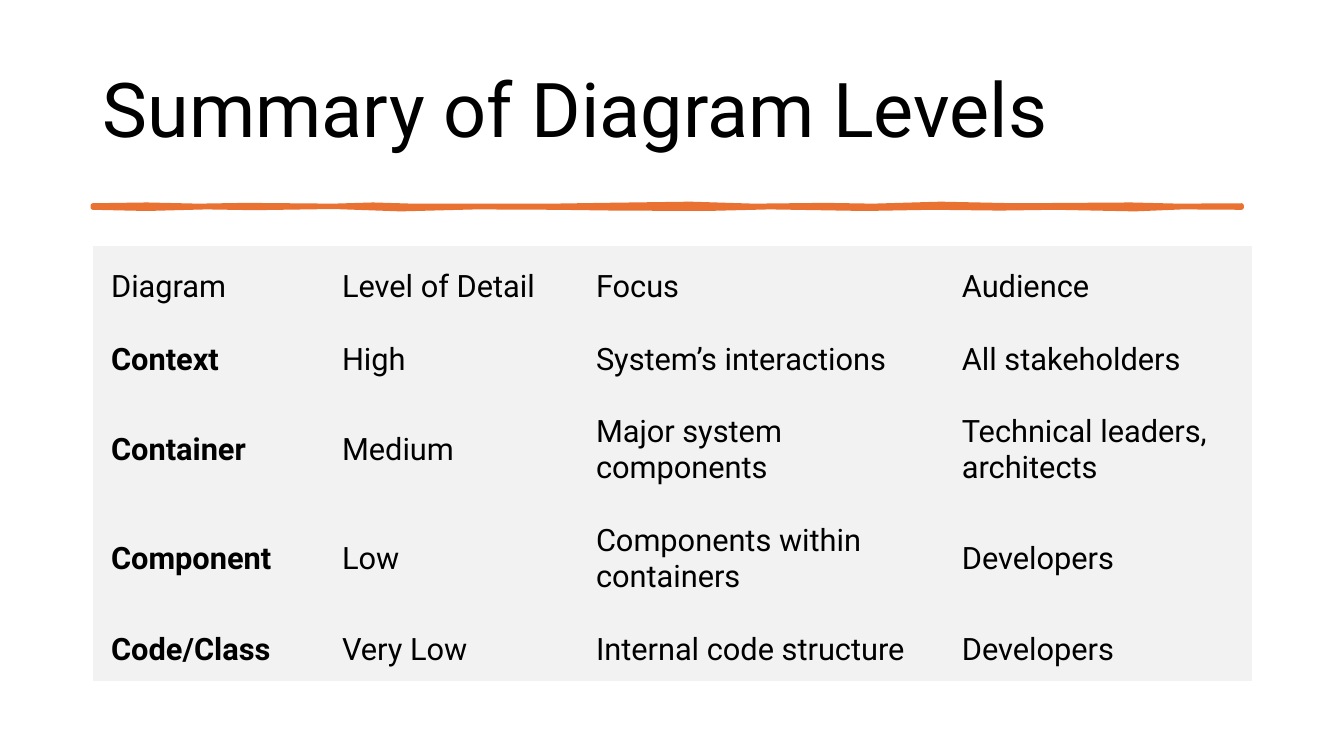
from pptx import Presentation
from pptx.dml.color import RGBColor
from pptx.enum.text import MSO_ANCHOR, MSO_AUTO_SIZE, PP_ALIGN
from pptx.oxml.ns import qn
from pptx.util import Cm, Pt

TITLE = "Summary of Diagram Levels"
LEVELS = [
    ("Diagram", "Level of Detail", "Focus", "Audience"),
    ("Context", "High", "System’s interactions", "All stakeholders"),
    ("Container", "Medium", "Major system components", "Technical leaders, architects"),
    ("Component", "Low", "Components within containers", "Developers"),
    ("Code/Class", "Very Low", "Internal code structure", "Developers"),
]
COLUMN_WIDTHS = [5.82, 6.4, 9.22, 7.77]
ROW_HEIGHTS = [1.83, 1.83, 2.74, 2.74, 1.83]

# Brush stroke edges in cm: (x, y)
STROKE_TOP = [
    (2.34, 5.18), (3.7, 5.16), (5.0, 5.19), (6.2, 5.17), (8.4, 5.19), (9.4, 5.16),
    (10.4, 5.19), (13.9, 5.19), (15.2, 5.17), (17.4, 5.14), (19.0, 5.19),
    (20.8, 5.17), (22.0, 5.19), (23.7, 5.14), (25.6, 5.18), (28.5, 5.16),
    (29.7, 5.19), (31.29, 5.18),
]
STROKE_BOTTOM = [
    (2.34, 5.23), (3.7, 5.26), (5.2, 5.22), (6.4, 5.24), (8.4, 5.21), (10.1, 5.27),
    (12.0, 5.22), (14.0, 5.23), (15.5, 5.25), (17.8, 5.26), (19.4, 5.22),
    (21.8, 5.26), (23.5, 5.23), (25.2, 5.25), (26.6, 5.23), (28.6, 5.27),
    (29.8, 5.22), (31.29, 5.23),
]

FONT = "Roboto"
BLACK, ORANGE, LIGHT_GRAY = "000000", "E97132", "F2F2F2"
NO_TABLE_STYLE = "{2D5ABB26-0587-4C30-8999-92F81FD0307C}"
LEFT, WIDTH = Cm(2.34), Cm(29.21)


def color(hex_code):
    return RGBColor.from_string(hex_code)


def add_text(paragraph, text, size, bold=False):
    run = paragraph.add_run()
    run.text = text
    run.font.name = FONT
    run.font.size = Pt(size)
    run.font.bold = bold
    run.font.color.rgb = color(BLACK)


def add_title(slide):
    title = slide.shapes.title
    title.left, title.top, title.width, title.height = LEFT, Cm(1.02), WIDTH, Cm(3.68)
    frame = title.text_frame
    frame.auto_size = MSO_AUTO_SIZE.NONE
    frame.vertical_anchor = MSO_ANCHOR.MIDDLE
    paragraph = frame.paragraphs[0]
    paragraph.alignment = PP_ALIGN.LEFT
    paragraph.line_spacing = 0.9
    add_text(paragraph, TITLE, 54)


def add_brush_stroke(slide):
    outline = [(Cm(x), Cm(y)) for x, y in STROKE_TOP + STROKE_BOTTOM[::-1]]
    builder = slide.shapes.build_freeform(*outline[0])
    builder.add_line_segments(outline[1:], close=True)
    stroke = builder.convert_to_shape()
    stroke.shadow.inherit = False
    stroke.fill.solid()
    stroke.fill.fore_color.rgb = color(ORANGE)
    stroke.line.color.rgb = color(ORANGE)
    stroke.line.width = Pt(3.25)


def add_levels_table(slide):
    frame = slide.shapes.add_table(
        len(LEVELS), len(COLUMN_WIDTHS), LEFT, Cm(6.2), WIDTH, Cm(sum(ROW_HEIGHTS)))
    table = frame.table
    table.first_row = table.horz_banding = False
    for style in frame.element.iter(qn("a:tableStyleId")):
        style.text = NO_TABLE_STYLE
    for column, width in zip(table.columns, COLUMN_WIDTHS):
        column.width = Cm(width)
    for row, height, texts in zip(table.rows, ROW_HEIGHTS, LEVELS):
        row.height = Cm(height)
        for index, (cell, text) in enumerate(zip(row.cells, texts)):
            cell.fill.solid()
            cell.fill.fore_color.rgb = color(LIGHT_GRAY)
            cell.vertical_anchor = MSO_ANCHOR.MIDDLE
            cell.margin_left = cell.margin_top = cell.margin_right = Cm(0.46)
            cell.margin_bottom = Cm(0.23)
            is_level_name = index == 0 and texts is not LEVELS[0]
            add_text(cell.text_frame.paragraphs[0], text, 22, is_level_name)


def main():
    presentation = Presentation()
    presentation.slide_width, presentation.slide_height = Cm(33.87), Cm(19.05)
    slide = presentation.slides.add_slide(presentation.slide_layouts.get_by_name("Title Only"))
    add_title(slide)
    add_brush_stroke(slide)
    add_levels_table(slide)
    presentation.save("out.pptx")


if __name__ == "__main__":
    main()
